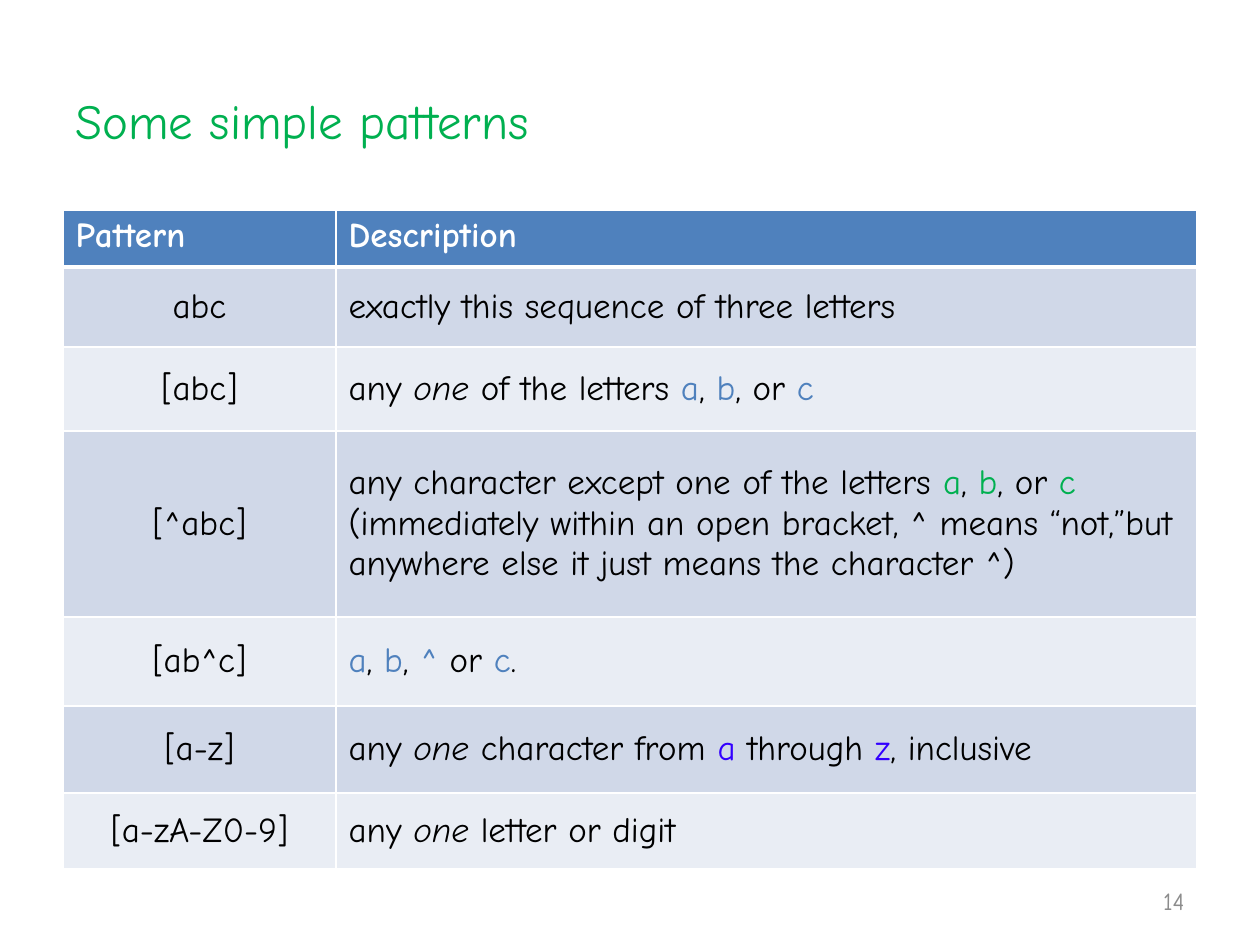
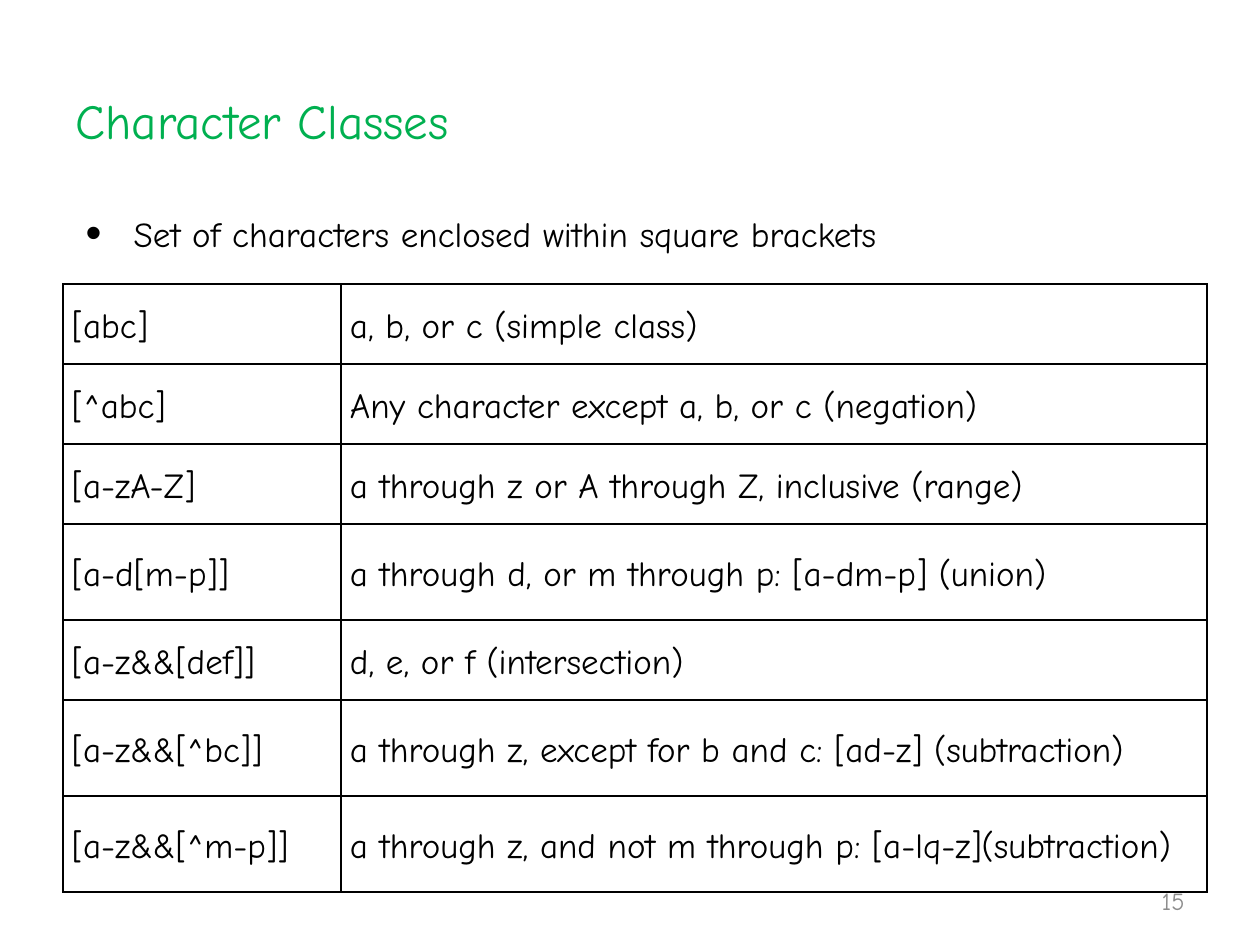
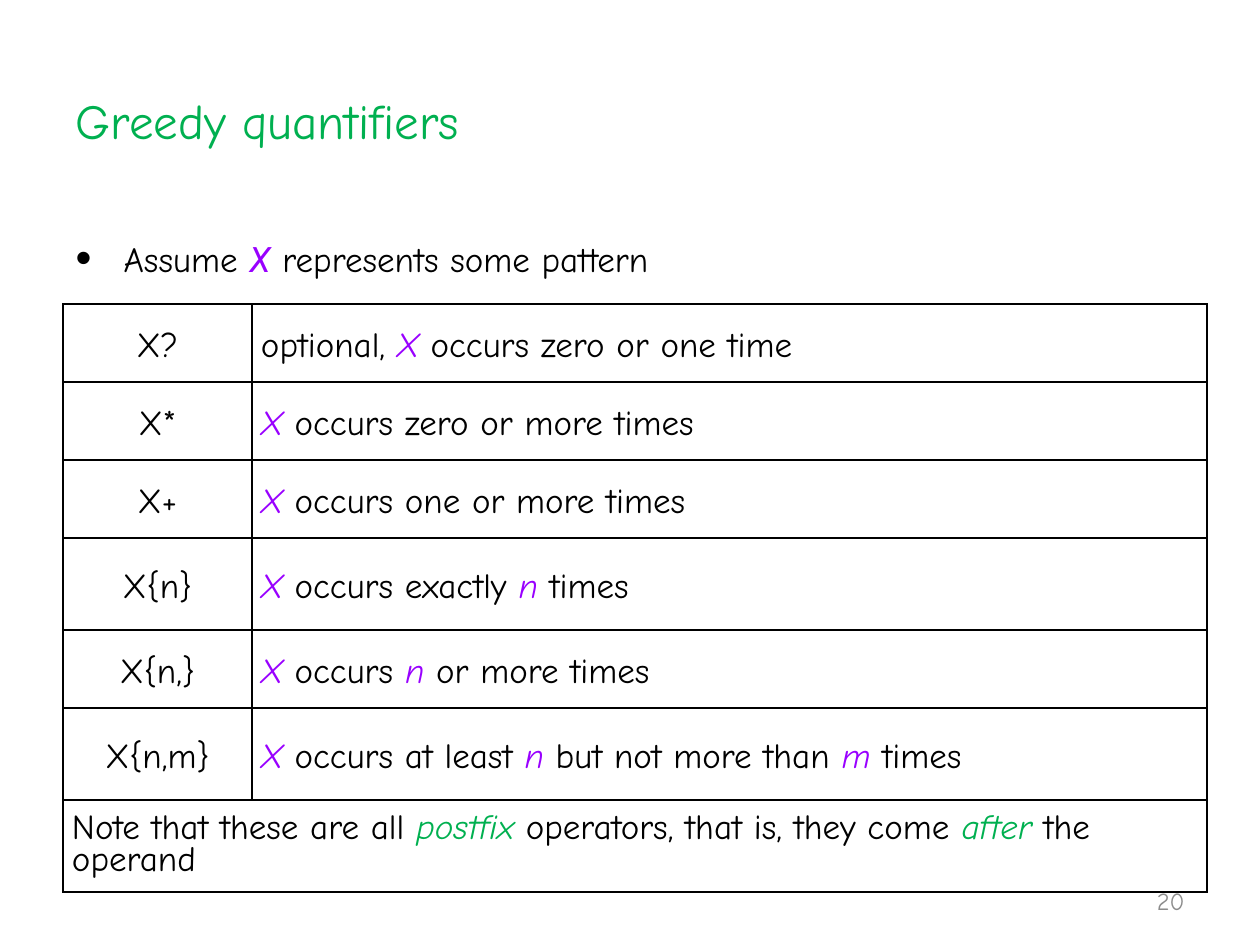
import pptx
import pptx.dml.color
import pptx.enum.text
import pptx.oxml
import pptx.oxml.ns
import pptx.util

RGB = pptx.dml.color.RGBColor
ALIGN = pptx.enum.text.PP_ALIGN
ANCHOR = pptx.enum.text.MSO_ANCHOR

PX_PER_INCH = 126
FONT = "Comic Neue"
ACCENT_FONT = "Roboto"
BLACK = RGB(0x00, 0x00, 0x00)
WHITE = RGB(0xFF, 0xFF, 0xFF)
GREEN = RGB(0x00, 0xB0, 0x50)
BLUE = RGB(0x4F, 0x81, 0xBD)
INDIGO = RGB(0x33, 0x00, 0xFF)
PURPLE = RGB(0x99, 0x00, 0xFF)
GREY = RGB(0x8C, 0x8C, 0x8C)
BANDS = (RGB(0xD0, 0xD8, 0xE8), RGB(0xE9, 0xED, 0xF4))

TITLE_BOX = (63, 84, 1134, 105)
NUMBER_BOX = (903, 876, 294, 50)
BULLET_INDENT = 48
CELL_INSET = 9

ONE = ("one", {"italic": True})
X, N, M = [(name, {"color": PURPLE, "italic": True}) for name in "Xnm"]


def tinted(text, color):
    return text, {"color": color}


def stressed(text):
    return text, {"color": GREEN, "italic": True}


PATTERNS = [
    ("abc", ["exactly this sequence of three letters"]),
    ("[abc]", ["any ", ONE, " of the letters ", tinted("a", BLUE), ",",
               tinted(" b", BLUE), ", or ", tinted("c", BLUE)]),
    ("[^abc]", ["any character except one of the letters ",
                tinted("a", GREEN), ", ", tinted("b", GREEN), ", or ",
                tinted("c ", GREEN), "\n",
                "(immediately within an open bracket, ^ means “not,”but "
                "anywhere else it just means the character ^)"]),
    ("[ab^c]", [tinted("a", BLUE), ", ", tinted("b", BLUE), ", ",
                tinted("^", BLUE), " or ", tinted("c", BLUE), "."]),
    ("[a-z]", ["any ", ONE, " character from ", tinted("a", INDIGO),
               " through ", tinted("z", INDIGO), ", inclusive"]),
    ("[a-zA-Z0-9]", ["any ", ONE, " letter or digit"]),
]
CHARACTER_CLASSES = [
    ("[abc]", "a, b, or c (simple class)"),
    ("[^abc]", "Any character except a, b, or c (negation)"),
    ("[a-zA-Z]", "a through z or A through Z, inclusive (range)"),
    ("[a-d[m-p]]", "a through d, or m through p: [a-dm-p] (union)"),
    ("[a-z&&[def]]", "d, e, or f (intersection)"),
    ("[a-z&&[^bc]]", "a through z, except for b and c: [ad-z] (subtraction)"),
    ("[a-z&&[^m-p]]", "a through z, and not m through p: [a-lq-z](subtraction)"),
]
QUANTIFIERS = [
    ("X?", ["optional, ", X, " occurs zero or one time"]),
    ("X*", [X, " occurs zero or more times"]),
    ("X+", [X, " occurs one or more times"]),
    ("X{n}", [X, " occurs exactly ", N, " times"]),
    ("X{n,}", [X, " occurs ", N, " or more times"]),
    ("X{n,m}", [X, " occurs at least ", N, " but not more than ", M, " times"]),
]
POSTFIX_NOTE = ["Note that these are all ", stressed("postfix"),
                " operators, that is, they come ", stressed("after"),
                " the operand"]


def px(length):
    return pptx.util.Emu(round(length * 914400 / PX_PER_INCH))


def write(frame, text, align=ALIGN.LEFT, spacing=1.0, before=0, **base):
    """Fill the first paragraph; text is a string or a list of strings and (string, format) pairs."""
    paragraph = frame.paragraphs[0]
    paragraph.alignment = align
    paragraph.line_spacing = spacing
    paragraph.space_before = pptx.util.Pt(before)
    for part in [text] if isinstance(text, str) else text:
        if part == "\n":
            paragraph.add_line_break()
            continue
        words, changes = (part, {}) if isinstance(part, str) else part
        style = {"font": FONT, "size": 20, "color": BLACK, "bold": False,
                 "italic": False, **base, **changes}
        run = paragraph.add_run()
        run.text = words
        run.font.name = style["font"]
        run.font.size = pptx.util.Pt(style["size"])
        run.font.color.rgb = style["color"]
        run.font.bold = style["bold"]
        run.font.italic = style["italic"]
    return paragraph


def place(placeholder, box):
    placeholder.left, placeholder.top, placeholder.width, placeholder.height = map(px, box)
    frame = placeholder.text_frame
    frame.word_wrap = True
    frame.auto_size = pptx.enum.text.MSO_AUTO_SIZE.NONE
    frame.vertical_anchor = ANCHOR.TOP
    return frame


def start_slide(deck, layout, title, number):
    slide = deck.slides.add_slide(deck.slide_layouts.get_by_name(layout))
    write(place(slide.shapes.title, TITLE_BOX), title, size=28, color=GREEN)
    number_frame = slide.shapes.add_textbox(*map(px, NUMBER_BOX)).text_frame
    number_frame.word_wrap = True
    number_frame.vertical_anchor = ANCHOR.MIDDLE
    write(number_frame, number, align=ALIGN.RIGHT, size=14, color=GREY)
    return slide


def add_bullet(slide, box, text, spacing):
    paragraph = write(place(slide.placeholders[1], box), text, spacing=spacing)
    properties = paragraph._p.get_or_add_pPr()
    properties.set("marL", str(px(BULLET_INDENT)))
    properties.set("indent", str(px(-BULLET_INDENT)))
    namespace = pptx.oxml.ns.nsdecls("a")
    for bullet in ('buSzPct {} val="130000"', 'buChar {} char="•"'):
        properties.append(pptx.oxml.parse_xml(f"<a:{bullet.format(namespace)}/>"))


def set_borders(cell, color, top=1, bottom=1):
    properties = cell._tc.get_or_add_tcPr()
    widths = {"lnL": 1, "lnR": 1, "lnT": top, "lnB": bottom}
    for position, (side, width) in enumerate(widths.items()):
        properties.insert(position, pptx.oxml.parse_xml(
            f'<a:{side} {pptx.oxml.ns.nsdecls("a")} w="{pptx.util.Pt(width)}">'
            f'<a:solidFill><a:srgbClr val="{color}"/></a:solidFill></a:{side}>'))


def add_grid(slide, left, top, columns, rows):
    """Add a table without a style, sized by its column widths and row heights."""
    table = slide.shapes.add_table(
        len(rows), len(columns), px(left), px(top),
        px(sum(columns)), px(sum(rows))).table
    table.first_row = table.horz_banding = False
    for column, width in zip(table.columns, columns):
        column.width = px(width)
    for row, height in zip(table.rows, rows):
        row.height = px(height)
    return table


def add_banded_table(slide, left, top, columns, rows, header, entries):
    table = add_grid(slide, left, top, columns, rows)
    for column, heading in enumerate(header):
        cell = table.cell(0, column)
        cell.fill.solid()
        cell.fill.fore_color.rgb = BLUE
        set_borders(cell, WHITE, bottom=3)
        write(cell.text_frame, heading, color=WHITE, bold=True)
    for row, entry in enumerate(entries, 1):
        for column, text in enumerate(entry):
            cell = table.cell(row, column)
            cell.fill.solid()
            cell.fill.fore_color.rgb = BANDS[(row - 1) % 2]
            set_borders(cell, WHITE, top=3 if row == 1 else 1)
            cell.vertical_anchor = ANCHOR.MIDDLE
            write(cell.text_frame, text, align=ALIGN.LEFT if column else ALIGN.CENTER)


def add_ruled_table(slide, left, top, columns, rows, entries, key_align=ALIGN.LEFT):
    table = add_grid(slide, left, top, columns, rows)
    for cell in table.iter_cells():
        cell.fill.background()
        set_borders(cell, BLACK)
        cell.vertical_anchor = ANCHOR.MIDDLE
        cell.margin_left = cell.margin_right = px(CELL_INSET)
        cell.margin_top = cell.margin_bottom = 0
    for row, entry in enumerate(entries):
        for column, text in enumerate(entry):
            write(table.cell(row, column).text_frame, text, spacing=1.15,
                  align=ALIGN.LEFT if column else key_align)
    return table


def row_heights(short, tall):
    return [short] * 3 + [tall, short, tall, tall]


def simple_patterns_slide(deck):
    slide = start_slide(deck, "Title Only", "Some simple patterns", "14")
    add_banded_table(slide, 63, 210, [273, 861], [57, 80, 84, 186, 89, 87, 76],
                     ("Pattern", "Description"), PATTERNS)


def character_classes_slide(deck):
    slide = start_slide(deck, "Title and Content", "Character Classes", "15")
    add_bullet(slide, (73, 189, 1134, 73),
               "Set of characters enclosed within square brackets", 1.4)
    add_ruled_table(slide, 63, 284, [278, 866], row_heights(80, 96), CHARACTER_CLASSES)


def greedy_quantifiers_slide(deck):
    slide = start_slide(deck, "Title and Content", "Greedy quantifiers", "20")
    pattern_name = ("X", {"font": ACCENT_FONT, "color": PURPLE, "italic": True})
    add_bullet(slide, (63, 210, 1134, 95),
               ["Assume ", pattern_name, " represents some pattern"], 1.5)
    table = add_ruled_table(slide, 63, 304, [189, 955], row_heights(78, 92),
                            QUANTIFIERS, key_align=ALIGN.CENTER)
    note = table.cell(len(QUANTIFIERS), 0)
    note.merge(table.cell(len(QUANTIFIERS), 1))
    write(note.text_frame, POSTFIX_NOTE, spacing=0.8, before=5)


def main():
    deck = pptx.Presentation()
    deck.slide_width, deck.slide_height = px(1260), px(945)
    simple_patterns_slide(deck)
    character_classes_slide(deck)
    greedy_quantifiers_slide(deck)
    deck.save("out.pptx")


if __name__ == "__main__":
    main()
